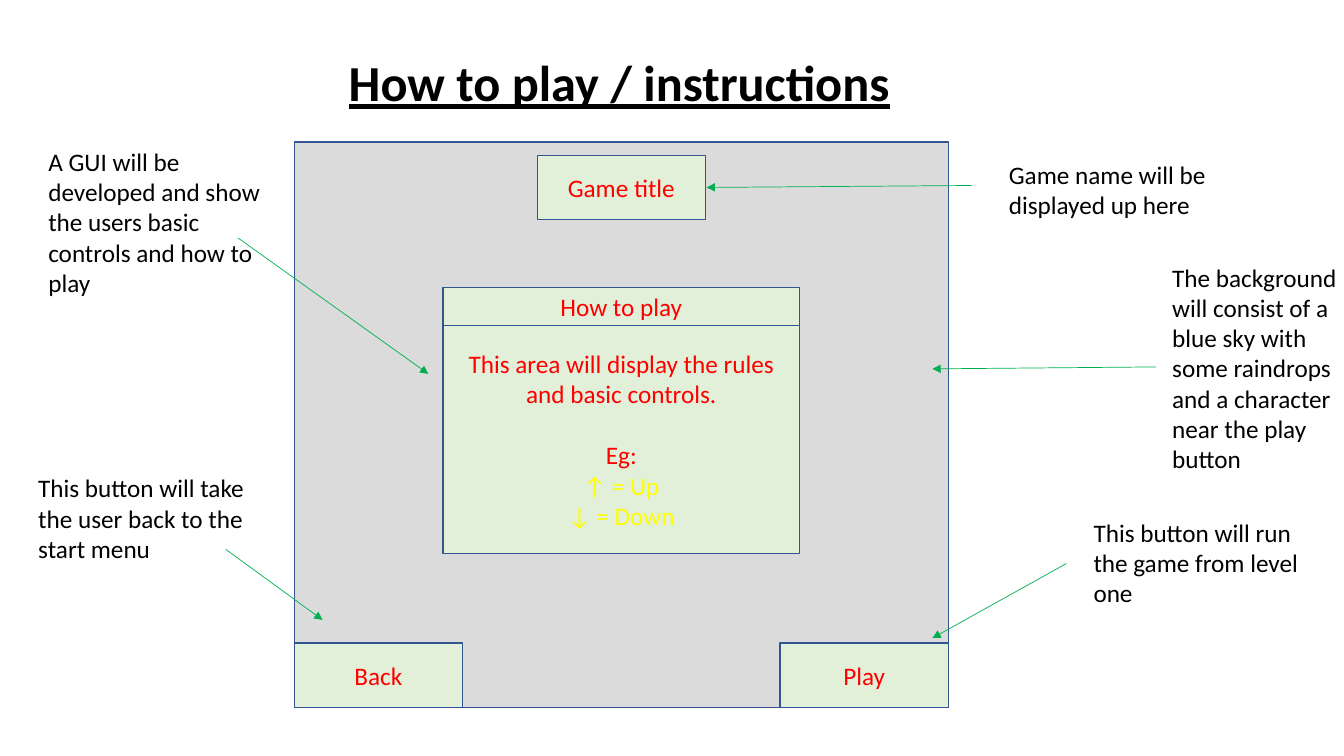
from lxml.etree import SubElement
from pptx import Presentation
from pptx.dml.color import RGBColor
from pptx.enum.shapes import MSO_CONNECTOR, MSO_SHAPE
from pptx.enum.text import MSO_ANCHOR, MSO_AUTO_SIZE, PP_ALIGN
from pptx.oxml.ns import qn
from pptx.util import Pt

FONT = "Calibri"
BLACK, RED, YELLOW = "000000", "FF0000", "FFFF00"
GREY, PALE_GREEN, BLUE, GREEN = "DBDBDB", "E2F0D9", "325491", "00B050"

TITLE = "How to play / instructions"
TITLE_BOX = (241.9, 33.1, 414, 51.1)
BOARD = (210.2, 101.5, 467.3, 404)
BUTTON_WIDTH, BUTTON_HEIGHT = 120.2, 46.1
GAME_TITLE_TOP = 110.9
PANEL_TOP, PANEL_WIDTH = 205.2, 255
HEADER_HEIGHT, RULES_HEIGHT = 27.4, 162.7
BLANK_LINE = 22

RULES = [
    ("This area will display the rules and basic controls.", RED, 0),
    ("Eg:", RED, BLANK_LINE),
    ("↑ = Up", YELLOW, 0),
    ("↓ = Down", YELLOW, 0),
]
NOTES = [
    ("Game name will be displayed up here", (713.5, 110.2, 187.9, 51.1)),
    ("This button will run the game from level one", (774, 365.8, 172.1, 72.7)),
    ("This button will take the user back to the start menu", (20.2, 334.1, 172.1, 72.7)),
    ("A GUI will be developed and show the users basic controls and how to play",
     (27.4, 100.8, 172.1, 116.6)),
    ("The background will consist of a blue sky with some raindrops and a character near the play button",
     (830.2, 183.6, 146.2, 159.8)),
]
ARROWS = [
    (694.1, 132.5, 504.7, 133.9),
    (169.9, 169.9, 306, 267.1),
    (761.8, 402.5, 666, 455.8),
    (161.3, 392.4, 230.4, 442.8),
    (825.8, 262.1, 666, 263.5),
]


def color(value):
    return RGBColor.from_string(value)


def points(values):
    return [Pt(value) for value in values]


def format_paragraph(paragraph, text, text_color, size=18, alignment=PP_ALIGN.LEFT):
    paragraph.text = text
    paragraph.alignment = alignment
    paragraph.font.name = FONT
    paragraph.font.size = Pt(size)
    paragraph.font.color.rgb = color(text_color)


def add_box(slide, bounds, lines=(), fill=PALE_GREEN):
    shape = slide.shapes.add_shape(MSO_SHAPE.RECTANGLE, *points(bounds))
    shape.shadow.inherit = False
    shape.fill.solid()
    shape.fill.fore_color.rgb = color(fill)
    shape.line.color.rgb = color(BLUE)
    shape.line.width = Pt(1)
    frame = shape.text_frame
    frame.word_wrap = True
    frame.vertical_anchor = MSO_ANCHOR.MIDDLE
    for index, (text, text_color, space_before) in enumerate(lines):
        paragraph = frame.add_paragraph() if index else frame.paragraphs[0]
        format_paragraph(paragraph, text, text_color, alignment=PP_ALIGN.CENTER)
        paragraph.space_before = Pt(space_before)


def add_title(slide):
    title = slide.shapes.title
    title.left, title.top, title.width, title.height = points(TITLE_BOX)
    frame = title.text_frame
    frame.word_wrap = True
    frame.auto_size = MSO_AUTO_SIZE.NONE
    frame.vertical_anchor = MSO_ANCHOR.TOP
    paragraph = frame.paragraphs[0]
    format_paragraph(paragraph, TITLE, BLACK, size=36)
    paragraph.font.bold = True
    paragraph.font.underline = True


def add_note(slide, text, bounds):
    frame = slide.shapes.add_textbox(*points(bounds)).text_frame
    frame.word_wrap = True
    frame.auto_size = MSO_AUTO_SIZE.SHAPE_TO_FIT_TEXT
    format_paragraph(frame.paragraphs[0], text, BLACK)


def add_arrow(slide, ends):
    arrow = slide.shapes.add_connector(MSO_CONNECTOR.STRAIGHT, *points(ends))
    arrow.line.color.rgb = color(GREEN)
    arrow.line.width = Pt(0.5)
    properties = arrow.element.spPr
    SubElement(properties.find(qn("a:ln")), qn("a:tailEnd"), type="triangle")
    SubElement(properties, qn("a:effectLst"))


def main():
    presentation = Presentation()
    presentation.slide_width, presentation.slide_height = points((960, 540))
    slide = presentation.slides.add_slide(presentation.slide_layouts[5])
    add_title(slide)

    left, top, width, height = BOARD
    center = left + width / 2
    button_top = top + height - BUTTON_HEIGHT
    panel_left = center - PANEL_WIDTH / 2
    add_box(slide, BOARD, fill=GREY)
    buttons = [
        ("Game title", center - BUTTON_WIDTH / 2, GAME_TITLE_TOP),
        ("Play", left + width - BUTTON_WIDTH, button_top),
        ("Back", left, button_top),
    ]
    for text, button_left, button_y in buttons:
        add_box(slide, (button_left, button_y, BUTTON_WIDTH, BUTTON_HEIGHT), [(text, RED, 0)])
    add_box(slide, (panel_left, PANEL_TOP, PANEL_WIDTH, HEADER_HEIGHT), [("How to play", RED, 0)])
    add_box(slide, (panel_left, PANEL_TOP + HEADER_HEIGHT, PANEL_WIDTH, RULES_HEIGHT), RULES)

    for text, bounds in NOTES:
        add_note(slide, text, bounds)
    for ends in ARROWS:
        add_arrow(slide, ends)
    presentation.save("out.pptx")


if __name__ == "__main__":
    main()
